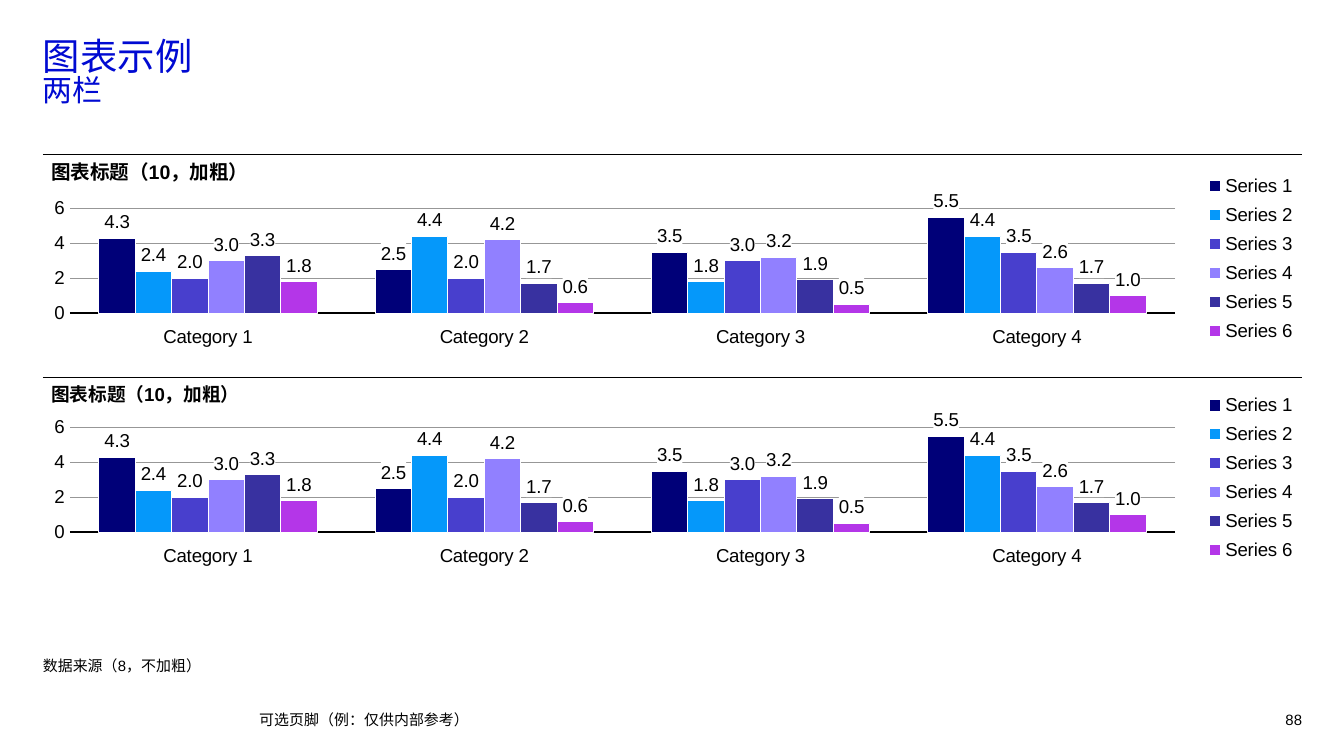
import pptx
import pptx.chart.data
import pptx.dml.color
import pptx.enum.chart
import pptx.enum.shapes
import pptx.enum.text
import pptx.oxml
import pptx.oxml.ns
import pptx.util

Cm = pptx.util.Cm
Pt = pptx.util.Pt
ANCHOR = pptx.enum.text.MSO_ANCHOR
ALIGN = pptx.enum.text.PP_ALIGN

LATIN = "Arial"
CHINESE = "Noto Sans CJK SC"
MARGIN, CONTENT_WIDTH = 0.81, 23.8
CATEGORIES = [f"Category {number}" for number in range(1, 5)]
SERIES = [
    ("000078", (4.3, 2.5, 3.5, 5.5)),
    ("0598FA", (2.4, 4.4, 1.8, 4.4)),
    ("483FCD", (2.0, 2.0, 3.0, 3.5)),
    ("9180FF", (3.0, 4.2, 3.2, 2.6)),
    ("3831A0", (3.3, 1.7, 1.9, 1.7)),
    ("B436E8", (1.8, 0.6, 0.5, 1.0)),
]


def color(hex_value):
    """Turn a hex string into a colour."""
    return pptx.dml.color.RGBColor.from_string(hex_value)


def xml(tag, content=""):
    """Parse one chart element holding the given content."""
    namespaces = pptx.oxml.ns.nsdecls("c", "a")
    return pptx.oxml.parse_xml(f"<c:{tag} {namespaces}>{content}</c:{tag}>")


def style_font(font, size, hex_value="000000", bold=False, name=LATIN):
    """Set the face, size, weight and colour of a font."""
    font.name, font.size, font.bold = name, Pt(size), bold
    font.color.rgb = color(hex_value)


def add_run(paragraph, text, size, hex_value="000000", bold=False, name=LATIN):
    """Add a formatted run with its East Asian face."""
    run = paragraph.add_run()
    run.text = text
    style_font(run.font, size, hex_value, bold, name)
    east_asian = pptx.oxml.parse_xml(
        f'<a:ea {pptx.oxml.ns.nsdecls("a")} typeface="{CHINESE}"/>')
    run.font._element.find(pptx.oxml.ns.qn("a:latin")).addnext(east_asian)


def set_frame(frame, anchor, left_inset=0):
    """Prepare a wrapping text frame without padding."""
    frame.word_wrap = True
    frame.auto_size = pptx.enum.text.MSO_AUTO_SIZE.NONE
    frame.vertical_anchor = anchor
    frame.margin_left = Cm(left_inset)
    frame.margin_top = frame.margin_right = frame.margin_bottom = 0


def add_label(slide, box, text, size, anchor=ANCHOR.MIDDLE, bold=False,
              align=ALIGN.LEFT, left_inset=0):
    """Place one line of text in a box and return its paragraph."""
    frame = slide.shapes.add_textbox(*map(Cm, box)).text_frame
    set_frame(frame, anchor, left_inset)
    paragraph = frame.paragraphs[0]
    paragraph.alignment = align
    add_run(paragraph, text, size, bold=bold)
    return paragraph


def add_heading(slide, box):
    """Fill the title placeholder with heading and subheading."""
    heading = slide.shapes.title
    heading.left, heading.top, heading.width, heading.height = map(Cm, box)
    set_frame(heading.text_frame, ANCHOR.TOP)
    paragraph = heading.text_frame.paragraphs[0]
    paragraph.alignment = ALIGN.LEFT
    paragraph.line_spacing = 0.8
    add_run(paragraph, "图表示例", 20, "000AD2", name=CHINESE)
    paragraph.add_line_break()
    add_run(paragraph, "两栏", 16, "000AD2", name=CHINESE)


def add_rule(slide, left, top, width):
    """Draw the thin line above a chart."""
    rule = slide.shapes.add_connector(
        pptx.enum.shapes.MSO_CONNECTOR.STRAIGHT,
        Cm(left), Cm(top), Cm(left + width), Cm(top))
    rule.line.color.rgb = color("000000")
    rule.line.width = Pt(0.75)
    rule._element.spPr.append(pptx.oxml.parse_xml(
        f'<a:effectLst {pptx.oxml.ns.nsdecls("a")}/>'))


def manual_layout(x, y, width, height, target=""):
    """Describe a fixed place as fractions of the chart."""
    return xml("layout", f'<c:manualLayout>{target}'
               '<c:xMode val="edge"/><c:yMode val="edge"/>'
               f'<c:x val="{x}"/><c:y val="{y}"/>'
               f'<c:w val="{width}"/><c:h val="{height}"/></c:manualLayout>')


def style_axes(chart):
    """Format both axes and the gridlines."""
    for axis in (chart.category_axis, chart.value_axis):
        axis.major_tick_mark = pptx.enum.chart.XL_TICK_MARK.NONE
        axis.minor_tick_mark = pptx.enum.chart.XL_TICK_MARK.NONE
        style_font(axis.tick_labels.font, 10)
    categories, values = chart.category_axis, chart.value_axis
    categories.tick_label_position = pptx.enum.chart.XL_TICK_LABEL_POSITION.LOW
    categories.format.line.color.rgb = color("000000")
    categories.format.line.width = Pt(1)
    values.minimum_scale, values.maximum_scale, values.major_unit = 0, 6, 2
    values.format.line.fill.background()
    values.major_gridlines.format.line.color.rgb = color("979797")
    values.major_gridlines.format.line.width = Pt(0.5)


def style_series(series, hex_value):
    """Colour the bars of a series and label their values."""
    series.format.fill.solid()
    series.format.fill.fore_color.rgb = color(hex_value)
    series.format.line.color.rgb = color("FFFFFF")
    series.format.line.width = Pt(0.5)
    labels = series.data_labels
    labels.show_value = True
    labels.number_format, labels.number_format_is_linked = "#,##0.0", False
    labels.position = pptx.enum.chart.XL_LABEL_POSITION.OUTSIDE_END
    style_font(labels.font, 10)
    labels._element.find(pptx.oxml.ns.qn("c:txPr")).addprevious(xml(
        "spPr", '<a:solidFill><a:srgbClr val="FFFFFF"/></a:solidFill>'))


def add_chart_panel(slide, box, chart_offset, caption_size):
    """Place a rule, a column chart and its caption in a box."""
    left, top, width, height = box
    add_rule(slide, left, top, width)
    chart_data = pptx.chart.data.CategoryChartData()
    chart_data.categories = CATEGORIES
    for number, (_, values) in enumerate(SERIES, 1):
        chart_data.add_series(f"Series {number}", values)
    chart = slide.shapes.add_chart(
        pptx.enum.chart.XL_CHART_TYPE.COLUMN_CLUSTERED, Cm(left - 0.02),
        Cm(top + chart_offset), Cm(width), Cm(height), chart_data).chart
    style_font(chart.font, 10)
    chart.has_title = False
    chart.has_legend = True
    chart.legend.position = pptx.enum.chart.XL_LEGEND_POSITION.RIGHT
    chart.legend.include_in_layout = False
    style_font(chart.legend.font, 10)
    style_axes(chart)
    plot = chart.plots[0]
    plot.gap_width, plot.overlap, plot.vary_by_categories = 160, 0, False
    for series, (hex_value, _) in zip(plot.series, SERIES):
        style_series(series, hex_value)
    chart_xml = chart._chartSpace.chart
    chart_xml.addnext(xml("spPr", "<a:noFill/><a:ln><a:noFill/></a:ln>"))
    for old_layout in chart_xml.plotArea.findall(pptx.oxml.ns.qn("c:layout")):
        chart_xml.plotArea.remove(old_layout)
    chart_xml.plotArea.insert(0, manual_layout(
        0.01, 0.21, 0.89, 0.75, '<c:layoutTarget val="outer"/>'))
    legend_xml = chart.legend._element
    for old_layout in legend_xml.findall(pptx.oxml.ns.qn("c:layout")):
        legend_xml.remove(old_layout)
    legend_xml.find(pptx.oxml.ns.qn("c:legendPos")).addnext(
        manual_layout(0.92, 0.06, 0.08, 0.91))
    add_label(slide, (left + 0.13, top + 0.1, width - 0.15, 0.46),
              "图表标题（10，加粗）", caption_size, ANCHOR.TOP, bold=True,
              left_inset=0.03)


def add_footer(slide, left, top, right):
    """Place the footer note and the page number on one line."""
    add_label(slide, (left, top, 16.41, 0.38), "可选页脚（例：仅供内部参考）", 8)
    add_label(slide, (right - 0.99, top, 0.99, 0.38), "88", 8,
              align=ALIGN.RIGHT)


def main():
    """Build and save the slide."""
    deck = pptx.Presentation()
    deck.slide_width, deck.slide_height = Cm(25.4), Cm(14.29)
    slide = deck.slides.add_slide(deck.slide_layouts.get_by_name("Title Only"))
    add_heading(slide, (MARGIN, 0.8, CONTENT_WIDTH, 1.83))
    for top, chart_offset, caption_size in ((2.92, 0.03, 10.5), (7.14, -0.05, 10)):
        add_chart_panel(slide, (MARGIN, top, CONTENT_WIDTH, 3.77),
                        chart_offset, caption_size)
    source = add_label(slide, (MARGIN, 11.4, CONTENT_WIDTH, 1.35),
                       "数据来源（8，不加粗）", 8, ANCHOR.BOTTOM)
    source.line_spacing = 1.1
    add_footer(slide, 4.9, 13.41, MARGIN + CONTENT_WIDTH)
    deck.save("out.pptx")


if __name__ == "__main__":
    main()
